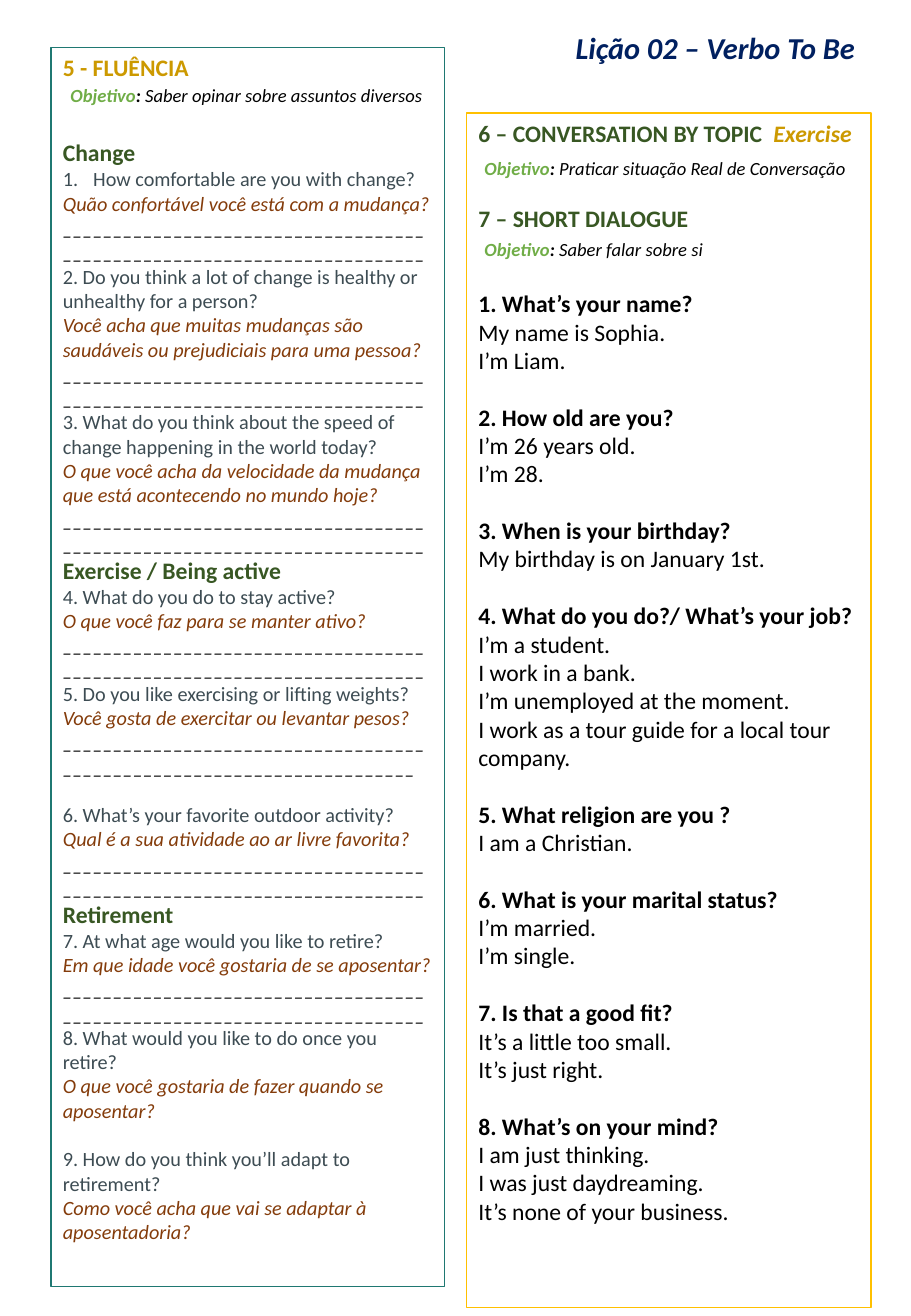
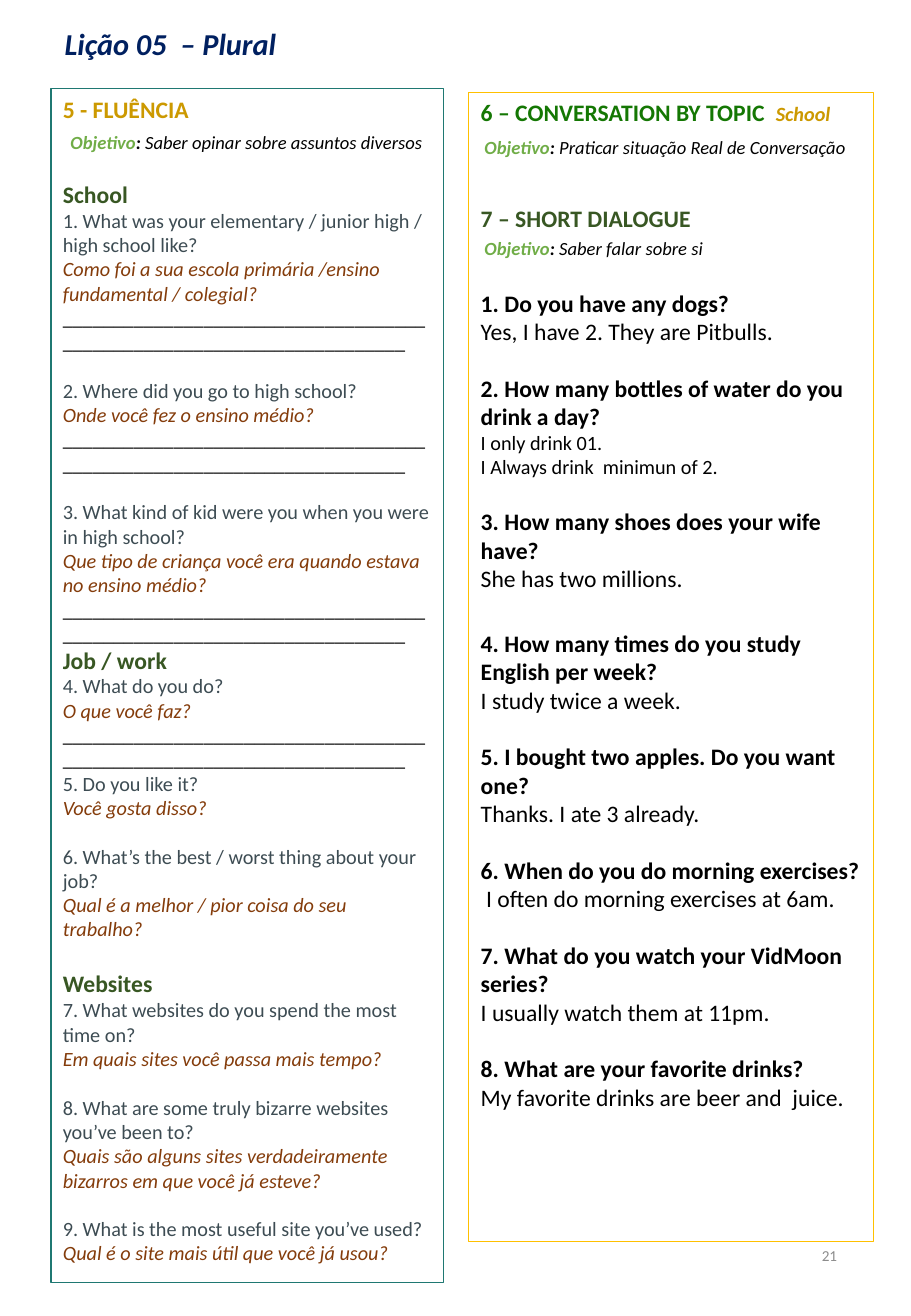
from dataclasses import dataclass, replace
from typing import NamedTuple, Optional

from lxml import etree
from pptx import Presentation
from pptx.dml.color import RGBColor
from pptx.enum import shapes, text
from pptx.oxml import ns
from pptx.util import Pt

FONT = "Calibri"
BLACK = RGBColor(0x00, 0x00, 0x00)
WHITE = RGBColor(0xFF, 0xFF, 0xFF)
NAVY = RGBColor(0x00, 0x20, 0x60)
GOLD = RGBColor(0xCC, 0x99, 0x00)
AMBER = RGBColor(0xFF, 0xC0, 0x00)
TEAL = RGBColor(0x1F, 0x78, 0x72)
FOREST = RGBColor(0x38, 0x57, 0x23)
GREEN = RGBColor(0x14, 0x77, 0x03)
LEAF = RGBColor(0x70, 0xAD, 0x47)
SLATE = RGBColor(0x3D, 0x4C, 0x53)
BROWN = RGBColor(0x84, 0x3C, 0x0B)
GREY = RGBColor(0x8C, 0x8C, 0x8C)

LINE_HEIGHT = 1.2
HANGING = 18
LABEL_HEIGHT = 20.6
TITLE_HEIGHT = 31


class Frame(NamedTuple):
    left: float
    top: float
    width: float
    height: float


@dataclass(frozen=True)
class Style:
    size: float
    color: RGBColor
    bold: bool = False
    italic: bool = False


TITLE = Style(18, NAVY, True, True)
FLUENCY = Style(14, GOLD, True)
HEADING = Style(14, FOREST, True)
ENGLISH = Style(12, SLATE)
PORTUGUESE = Style(12, BROWN, italic=True)
RULE = Style(12, BLACK)
ASKED = Style(14, BLACK, True)
ANSWER = Style(14, BLACK)
SMALL_ANSWER = Style(12, BLACK)
LABEL = Style(11, LEAF, True, True)
PAGE_NUMBER = Style(9, GREY)


class Span(NamedTuple):
    words: str
    style: Style


class Line(NamedTuple):
    spans: list[Span]
    before: float = 0
    numbered: bool = False


class Question(NamedTuple):
    english: str
    portuguese: str
    rule: int = 0
    before: float = 0
    numbered: bool = False


class Topic(NamedTuple):
    name: str
    questions: list[Question]
    before: float = 0


class Dialogue(NamedTuple):
    asked: str
    answers: list[str]
    before: float
    style: Style = ANSWER


class Label(NamedTuple):
    words: str
    left: float
    top: float
    width: float


class Lesson(NamedTuple):
    title: str
    title_frame: Frame
    title_align: text.PP_ALIGN
    fluency_frame: Frame
    rule_italic: bool
    topics: list[Topic]
    talk_frame: Frame
    talk_heads: list[Line]
    dialogues: list[Dialogue]
    labels: list[Label]
    number: Optional[str] = None


def gap(*sizes: float) -> float:
    """Height of empty lines of the given text sizes."""
    return round(sum(sizes) * LINE_HEIGHT, 2)


def labels(fluency_top: float, topic_top: float, dialogue_top: float) -> list[Label]:
    return [
        Label("Saber opinar sobre assuntos diversos", 34.6, fluency_top, 226),
        Label("Praticar situação Real de Conversação", 280.1, topic_top, 232.6),
        Label("Saber falar sobre si", 280.1, dialogue_top, 148.3),
    ]


def talk_heads(first: Style, topic: Span, before: float) -> list[Line]:
    return [
        Line([Span("6 – CONVERSATION BY TOPIC  ", first), topic]),
        Line([Span("7 – SHORT DIALOGUE", HEADING)], before),
    ]


LESSONS = [
    Lesson(
        "Lição 02 – Verbo To Be", Frame(334.1, 12.2, 182.2, TITLE_HEIGHT), text.PP_ALIGN.LEFT,
        Frame(30.2, 28.1, 233.3, 734.4), True,
        [
            Topic("Change", [
                Question("How comfortable are you with change?",
                         "Quão confortável você está com a mudança?", 72, numbered=True),
                Question("2. Do you think a lot of change is healthy or unhealthy for a person?",
                         "Você acha que muitas mudanças são saudáveis ou prejudiciais para uma pessoa?", 72),
                Question("3. What do you think about the speed of change happening in the world today?",
                         "O que você acha da velocidade da mudança que está acontecendo no mundo hoje?", 72),
            ], gap(14, 14)),
            Topic("Exercise / Being active", [
                Question("4. What do you do to stay active?", "O que você faz para se manter ativo?", 72),
                Question("5. Do you like exercising or lifting weights?",
                         "Você gosta de exercitar ou levantar pesos?", 71),
                Question("6. What’s your favorite outdoor activity?",
                         "Qual é a sua atividade ao ar livre favorita?", 72, gap(12)),
            ]),
            Topic("Retirement", [
                Question("7. At what age would you like to retire?",
                         "Em que idade você gostaria de se aposentar?", 72),
                Question("8. What would you like to do once you retire?",
                         "O que você gostaria de fazer quando se aposentar?"),
                Question("9. How do you think you’ll adapt to retirement?",
                         "Como você acha que vai se adaptar à aposentadoria?", 0, gap(12)),
            ]),
        ],
        Frame(276.5, 67, 239.8, 707.8),
        talk_heads(HEADING, Span("Exercise", Style(14, GOLD, True, True)), gap(14, 14)),
        [
            Dialogue("1. What’s your name?", ["My name is Sophia.", "I’m Liam."], gap(14, 14)),
            Dialogue("2. How old are you?", ["I’m 26 years old.", "I’m 28."], gap(14)),
            Dialogue("3. When is your birthday?", ["My birthday is on January 1st."], gap(14)),
            Dialogue("4. What do you do?/ What’s your job?", [
                "I’m a student.", "I work in a bank.", "I’m unemployed at the moment.",
                "I work as a tour guide for a local tour company."], gap(14)),
            Dialogue("5. What religion are you ?", ["I am a Christian."], gap(14)),
            Dialogue("6. What is your marital status?", ["I’m married.", "I’m single."], gap(14)),
            Dialogue("7. Is that a good fit?", ["It’s a little too small.", "It’s just right."], gap(14)),
            Dialogue("8. What’s on your mind?", [
                "I am just thinking.", "I was just daydreaming.", "It’s none of your business."], gap(14)),
        ],
        labels(46.1, 89.3, 137.5),
    ),
    Lesson(
        "Lição 05  – Plural", Frame(30.2, 10.1, 141.8, TITLE_HEIGHT), text.PP_ALIGN.CENTER,
        Frame(30.2, 52.6, 232.6, 707.8), False,
        [
            Topic("School", [
                Question("1. What was your elementary / junior high / high school like?",
                         "Como foi a sua escola primária /ensino fundamental / colegial?", 70),
                Question("2. Where did you go to high school?",
                         "Onde você fez o ensino médio?", 70, gap(12)),
                Question("3. What kind of kid were you when you were in high school?",
                         "Que tipo de criança você era quando estava no ensino médio?", 70, gap(12)),
            ], gap(14, 14)),
            Topic("Job / work", [
                Question("4. What do you do?", "O que você faz?", 70),
                Question("5. Do you like it?", "Você gosta disso?"),
                Question("6. What’s the best / worst thing about your job?",
                         "Qual é a melhor / pior coisa do seu trabalho?", 0, gap(12)),
            ]),
            Topic("Websites", [
                Question("7. What websites do you spend the most time on?",
                         "Em quais sites você passa mais tempo?"),
                Question("8. What are some truly bizarre websites you’ve been to?",
                         "Quais são alguns sites verdadeiramente bizarros em que você já esteve?", 0, gap(12)),
                Question("9. What is the most useful site you’ve used?",
                         "Qual é o site mais útil que você já usou?", 0, gap(12)),
            ], gap(14)),
        ],
        Frame(277.9, 54.7, 239.8, 681.1),
        talk_heads(Style(14, GREEN, True), Span("School", Style(12, GOLD, True, True)), gap(12, 12, 14)),
        [
            Dialogue("1. Do you have any dogs?", ["Yes, I have 2. They are Pitbulls."], gap(14, 14)),
            Dialogue("2. How many bottles of water do you drink a day?",
                     ["I only drink 01.", "I Always drink  minimun of 2."], gap(14), SMALL_ANSWER),
            Dialogue("3. How many shoes does your wife have?", ["She has two millions."], gap(14)),
            Dialogue("4. How many times do you study English per week?",
                     ["I study twice a week."], gap(18)),
            Dialogue("5. I bought two apples. Do you want one?", ["Thanks. I ate 3 already."], gap(14)),
            Dialogue("6. When do you do morning exercises?",
                     [" I often do morning exercises at 6am."], gap(14)),
            Dialogue("7. What do you watch your VidMoon series?",
                     ["I usually watch them at 11pm."], gap(14)),
            Dialogue("8. What are your favorite drinks?",
                     ["My favorite drinks are beer and  juice."], gap(14)),
        ],
        labels(74.2, 77, 136.8),
        "21",
    ),
]


def fluency_lines(lesson: Lesson) -> list[Line]:
    rule_style = replace(RULE, italic=lesson.rule_italic)
    lines = [Line([Span("5 - FLUÊNCIA", FLUENCY)])]
    for topic in lesson.topics:
        lines.append(Line([Span(topic.name, HEADING)], topic.before))
        for question in topic.questions:
            lines.append(Line([Span(question.english, ENGLISH)], question.before, question.numbered))
            lines.append(Line([Span(question.portuguese, PORTUGUESE)]))
            if question.rule:
                lines.append(Line([Span("_" * question.rule, rule_style)]))
    return lines


def talk_lines(lesson: Lesson) -> list[Line]:
    lines = list(lesson.talk_heads)
    for dialogue in lesson.dialogues:
        lines.append(Line([Span(dialogue.asked, ASKED)], dialogue.before))
        lines += [Line([Span(answer, dialogue.style)]) for answer in dialogue.answers]
    return lines


def write(box, lines: list[Line], align=text.PP_ALIGN.LEFT, wrap: bool = True,
          anchor=text.MSO_ANCHOR.TOP, spacing: float = 1.0) -> None:
    frame = box.text_frame
    frame.word_wrap = wrap
    frame.vertical_anchor = anchor
    for index, line in enumerate(lines):
        para = frame.add_paragraph() if index else frame.paragraphs[0]
        para.alignment = align
        para.line_spacing = spacing
        para.space_before = Pt(line.before)
        if line.numbered:
            properties = para._p.get_or_add_pPr()
            properties.set("marL", str(Pt(HANGING)))
            properties.set("indent", str(-Pt(HANGING)))
            etree.SubElement(properties, ns.qn("a:buAutoNum"), type="arabicPeriod")
        for words, style in line.spans:
            span = para.add_run()
            span.text = words
            span.font.name = FONT
            span.font.size = Pt(style.size)
            span.font.bold = style.bold
            span.font.italic = style.italic
            span.font.color.rgb = style.color


def outlined_box(page, frame: Frame, color: RGBColor):
    box = page.shapes.add_shape(shapes.MSO_SHAPE.RECTANGLE, *map(Pt, frame))
    box.shadow.inherit = False
    box.fill.background()
    box.line.color.rgb = color
    box.line.width = Pt(0.75)
    return box


def draw_lesson(page, lesson: Lesson) -> None:
    write(outlined_box(page, lesson.talk_frame, AMBER), talk_lines(lesson))
    write(outlined_box(page, lesson.fluency_frame, TEAL), fluency_lines(lesson))
    if lesson.number:
        number = page.shapes.add_textbox(Pt(381.6), Pt(722.9), Pt(121.7), Pt(41.8))
        write(number, [Line([Span(lesson.number, PAGE_NUMBER)])], text.PP_ALIGN.RIGHT,
              anchor=text.MSO_ANCHOR.MIDDLE)
    title = page.shapes.add_textbox(*map(Pt, lesson.title_frame))
    write(title, [Line([Span(lesson.title, TITLE)])], lesson.title_align, wrap=False, spacing=1.07)
    for label in lesson.labels:
        box = outlined_box(page, Frame(label.left, label.top, label.width, LABEL_HEIGHT), WHITE)
        spans = [Span("Objetivo", LABEL), Span(": ", replace(LABEL, color=BLACK)),
                 Span(label.words, replace(LABEL, color=BLACK, bold=False))]
        write(box, [Line(spans)], wrap=False)


def main() -> None:
    deck = Presentation()
    deck.slide_width, deck.slide_height = Pt(540), Pt(780)
    for lesson in LESSONS:
        draw_lesson(deck.slides.add_slide(deck.slide_layouts[6]), lesson)
    deck.save("out.pptx")


if __name__ == "__main__":
    main()
